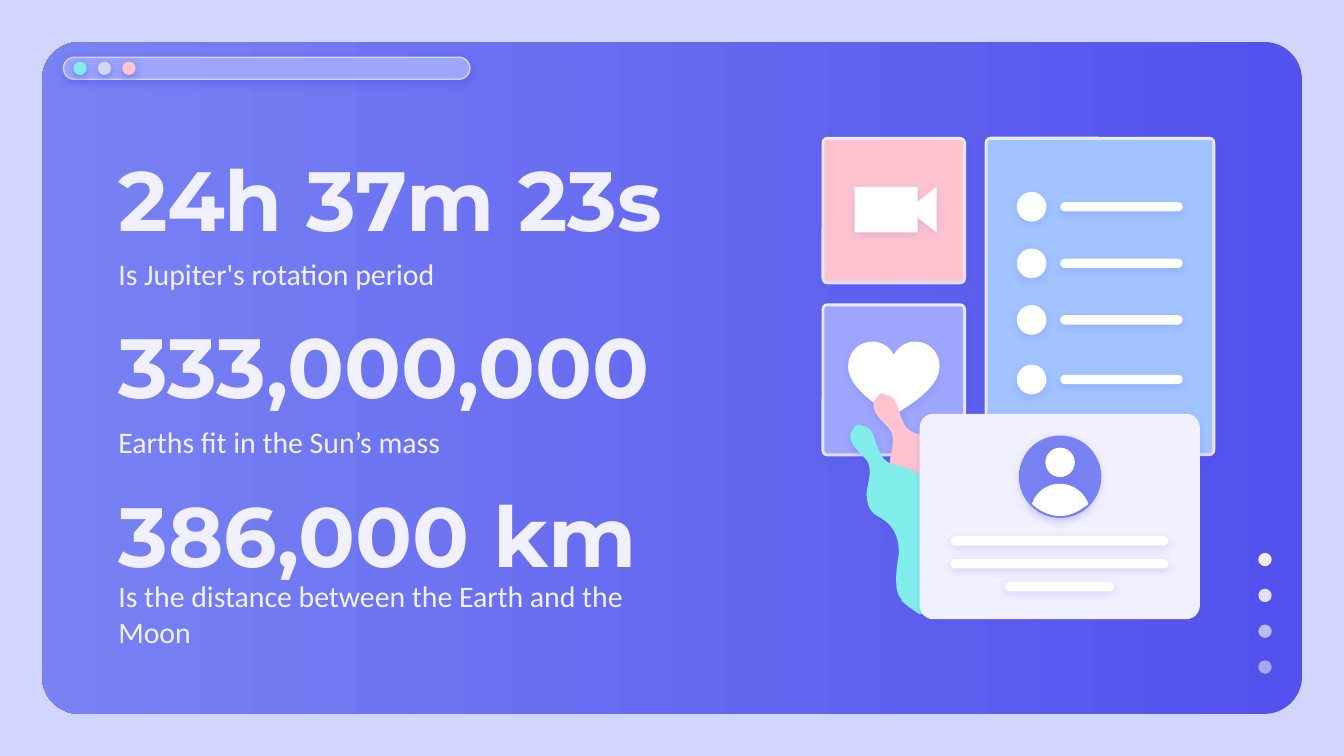
from copy import deepcopy
from dataclasses import dataclass

from lxml import etree
from pptx import Presentation
from pptx import util as u
from pptx.dml.color import RGBColor
from pptx.enum import shapes, text
from pptx.oxml import ns

INDIGO = RGBColor(0x53, 0x52, 0xEE)
PERIWINKLE = RGBColor(0x78, 0x82, 0xF3)
LAVENDER = RGBColor(0x9E, 0xA6, 0xFF)
PALE = RGBColor(0xD2, 0xD6, 0xFF)
MIST = RGBColor(0xF1, 0xF0, 0xFF)
SKY = RGBColor(0xA1, 0xC3, 0xFF)
PINK = RGBColor(0xFF, 0xC3, 0xD0)
AQUA = RGBColor(0x81, 0xEE, 0xEB)
WHITE = RGBColor(0xFF, 0xFF, 0xFF)

OVAL = shapes.MSO_SHAPE.OVAL
ROUNDED = shapes.MSO_SHAPE.ROUNDED_RECTANGLE
UNIT = 0.72  # points per step of the outlines below


@dataclass(frozen=True)
class Box:
    left: float
    top: float
    width: float
    height: float

    def inset(self, margin: float) -> "Box":
        return Box(self.left + margin, self.top + margin,
                   self.width - 2 * margin, self.height - 2 * margin)

    def lengths(self) -> list:
        return [u.Pt(value) for value in (self.left, self.top, self.width, self.height)]


@dataclass(frozen=True)
class Statistic:
    number: str
    caption: str
    number_top: float
    caption_top: float


@dataclass(frozen=True)
class Outline:
    """A start point, then lines (x, y) and curves (two controls and an end)."""
    start: tuple
    segments: tuple

    def points(self, steps: int = 10) -> list:
        result = [self.start]
        for segment in self.segments:
            if len(segment) == 2:
                result.append(segment)
                continue
            x0, y0 = result[-1]
            x1, y1, x2, y2, x3, y3 = segment
            for step in range(1, steps + 1):
                t = step / steps
                a, b, c, d = (1 - t) ** 3, 3 * t * (1 - t) ** 2, 3 * t * t * (1 - t), t ** 3
                result.append((a * x0 + b * x1 + c * x2 + d * x3,
                               a * y0 + b * y1 + c * y2 + d * y3))
        return result


STATISTICS = (
    Statistic("24h 37m 23s", "Is Jupiter's rotation period", 88.5, 134.6),
    Statistic("333,000,000", "Earths fit in the Sun’s mass", 178, 224.8),
    Statistic("386,000 km", "Is the distance between the Earth and the Moon", 268.5, 316.8),
)

HEART = Outline((18, 0), (
    (8, 0, 0, 8, 0, 18), (0, 22, 0, 33, 24, 49), (34, 55), (43, 49),
    (68, 33, 68, 22, 68, 18), (68, 8, 60, 0, 50, 0), (43, 0, 37, 4, 34, 10),
    (31, 4, 25, 0, 18, 0)))
LEAF = Outline((14, 0), (
    (12, 0, 10, 1, 10, 2), (0, 12, 16, 21, 20, 28), (23, 35, 20, 43, 19, 50),
    (19, 57, 20, 64, 27, 68), (31, 70, 35, 73, 38, 77), (42, 83, 43, 89, 43, 96),
    (42, 102, 41, 108, 41, 115), (41, 119, 41, 126, 45, 130), (45, 131),
    (49, 135, 54, 138, 58, 141), (60, 141, 61, 141, 63, 141),
    (66, 141, 70, 140, 73, 140), (83, 137, 92, 130, 96, 121),
    (103, 106, 98, 87, 84, 77), (80, 74, 76, 73, 73, 69), (68, 64, 67, 53, 64, 46),
    (54, 26, 37, 35, 30, 23), (27, 17, 26, 13, 24, 8), (23, 5, 20, 1, 16, 1),
    (15, 1, 15, 0, 14, 0)))
SHOULDERS = Outline((21, 0), (
    (11, 0, 3, 6, 0, 15), (5, 20, 13, 24, 21, 24), (29, 24, 36, 20, 42, 15),
    (39, 6, 30, 0, 21, 0)))
CAMERA = Outline((0, 0), (
    (0, 34), (47, 34), (47, 23), (61, 34), (61, 0), (47, 11), (47, 0)))


def add_alpha(color_element, percent: int) -> None:
    etree.SubElement(color_element, ns.qn("a:alpha"), val=str(percent * 1000))


def finish(shape, color: RGBColor, shadow: int, opacity: int = 100) -> None:
    """Plain fill, no line and a soft shadow of the given strength."""
    shape.fill.solid()
    shape.fill.fore_color.rgb = color
    shape.line.fill.background()
    properties = shape._element.spPr
    if opacity < 100:
        add_alpha(properties.find(ns.qn("a:solidFill"))[0], opacity)
    shape.shadow.inherit = False
    outer = etree.SubElement(
        properties.find(ns.qn("a:effectLst")), ns.qn("a:outerShdw"),
        blurRad=str(u.Pt(4.5)), dist=str(u.Pt(1.5)), dir="5400000",
        algn="bl", rotWithShape="0")
    add_alpha(etree.SubElement(outer, ns.qn("a:srgbClr"), val=str(INDIGO)), shadow)


def add_rounded(slide, box: Box, radius: float, color: RGBColor, shadow: int = 16):
    shape = slide.shapes.add_shape(ROUNDED, *box.lengths())
    shape.adjustments[0] = radius / min(box.width, box.height)
    finish(shape, color, shadow)
    return shape


def add_bar(slide, left: float, top: float, width: float) -> None:
    add_rounded(slide, Box(left, top, width, 5), 2.5, WHITE)


def add_circle(slide, left: float, top: float, size: float, color: RGBColor,
               shadow: int = 16, opacity: int = 100) -> None:
    shape = slide.shapes.add_shape(OVAL, *Box(left, top, size, size).lengths())
    finish(shape, color, shadow, opacity)


def add_tile(slide, box: Box, color: RGBColor) -> None:
    add_rounded(slide, box, 3.2, MIST)
    add_rounded(slide, box.inset(1.6), 1.6, color)


def add_outline(slide, outline: Outline, left: float, top: float,
                color: RGBColor, shadow: int = 16) -> None:
    first, *rest = [(u.Pt(x * UNIT), u.Pt(y * UNIT)) for x, y in outline.points()]
    builder = slide.shapes.build_freeform(*first)
    builder.add_line_segments(rest, close=True)
    finish(builder.convert_to_shape(u.Pt(left), u.Pt(top)), color, shadow)


def add_text(slide, template, content: str, box: Box, font: str, size: float, bold: bool) -> None:
    """Fill a fresh copy of a template placeholder."""
    element = deepcopy(template._element)
    element.nvSpPr.cNvPr.set("id", str(max(s.shape_id for s in slide.shapes) + 1))
    slide.shapes._spTree.append(element)
    shape = slide.shapes[-1]
    shape.left, shape.top, shape.width, shape.height = box.lengths()
    frame = shape.text_frame
    frame.text = content
    frame.word_wrap = True
    frame.auto_size = text.MSO_AUTO_SIZE.NONE
    frame.vertical_anchor = text.MSO_ANCHOR.MIDDLE
    frame.margin_left = frame.margin_right = frame.margin_top = frame.margin_bottom = u.Pt(7.2)
    paragraph = frame.paragraphs[0]
    paragraph.alignment = text.PP_ALIGN.LEFT
    paragraph.space_before = u.Pt(0)
    font_format = paragraph.runs[0].font
    font_format.name, font_format.size, font_format.bold = font, u.Pt(size), bold
    font_format.color.rgb = MIST


def draw_window(slide) -> None:
    window = add_rounded(slide, Box(22.5, 22.5, 675, 360), 20.16, PERIWINKLE)
    window.shadow.inherit = False
    effects = window._element.spPr.find(ns.qn("a:effectLst"))
    effects.clear()
    window.fill.gradient()
    window.fill.gradient_angle = 180
    for stop, color in zip(window.fill.gradient_stops, (INDIGO, PERIWINKLE)):
        stop.color.rgb = color
    address = add_rounded(slide, Box(34, 30.7, 217.8, 11.8), 5.9, LAVENDER, 50)
    address.line.color.rgb = PALE
    address.line.width = u.Pt(0.75)
    for index, color in enumerate((AQUA, PALE, PINK)):
        add_circle(slide, 39.3 + 13.1 * index, 33, 7.2, color, 50)
    for index, opacity in enumerate((100, 90, 67, 54)):
        add_circle(slide, 674.1, 296.2 + 19.2 * index, 7.2, MIST, 50, opacity)


def draw_illustration(slide) -> None:
    # Heart tile and leaves
    add_tile(slide, Box(440.1, 162.5, 77.4, 82), LAVENDER)
    add_outline(slide, HEART, 454.4, 183, WHITE)
    add_outline(slide, LEAF, 463, 211, PINK, 22)
    add_outline(slide, LEAF, 450.6, 227.5, AQUA, 22)
    # List panel
    add_tile(slide, Box(527.5, 73.3, 123.6, 171.1), SKY)
    for middle in (110.8, 141.1, 171.4, 203.3):
        add_circle(slide, 544.7, middle - 7.95, 15.9, WHITE)
        add_bar(slide, 568, middle - 2.5, 65.6)
    # Profile card
    add_rounded(slide, Box(492.7, 221.7, 150.1, 110), 7.2, MIST)
    for index, width in enumerate((116.8, 116.8, 58.4)):
        add_bar(slide, 567.7 - width / 2, 287.3 + 12.3 * index, width)
    add_circle(slide, 545.8, 233.3, 44.2, PERIWINKLE)
    add_circle(slide, 560, 239.8, 15.8, WHITE)
    add_outline(slide, SHOULDERS, 552.8, 259.2, WHITE)
    # Video tile
    add_tile(slide, Box(440.1, 73.3, 77.4, 79), PINK)
    add_outline(slide, CAMERA, 457.8, 100.1, WHITE)


def main() -> None:
    presentation = Presentation()
    presentation.slide_width, presentation.slide_height = u.Pt(720), u.Pt(405)
    slide = presentation.slides.add_slide(presentation.slide_layouts[0])
    slide.background.fill.solid()
    slide.background.fill.fore_color.rgb = PALE
    title, subtitle = slide.placeholders
    draw_window(slide)
    for item in STATISTICS:
        add_text(slide, title, item.number, Box(56.2, item.number_top, 312, 34.6),
                 "Montserrat", 45, True)
        add_text(slide, subtitle, item.caption, Box(56.2, item.caption_top, 312, 23.8),
                 "Calibri", 16, False)
    for template in (title, subtitle):
        template._element.getparent().remove(template._element)
    draw_illustration(slide)
    presentation.save("out.pptx")


if __name__ == "__main__":
    main()
